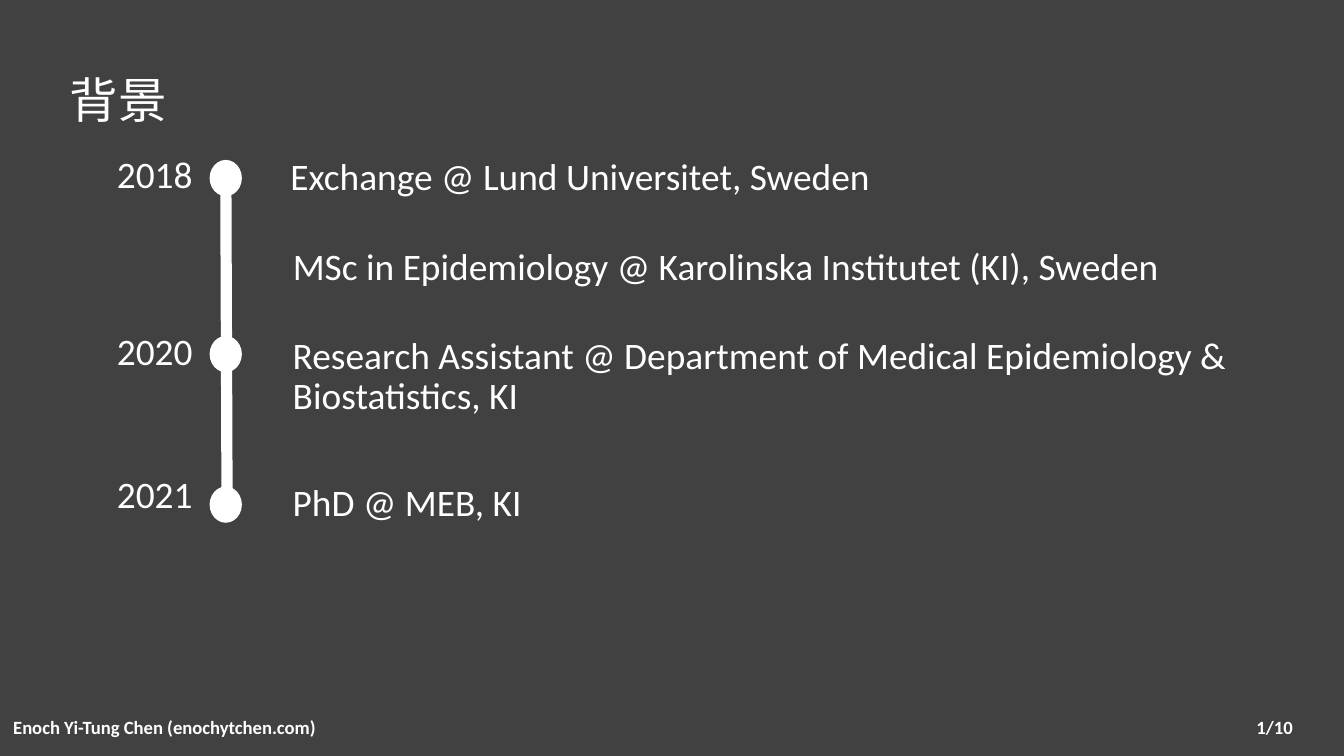
from lxml import etree
from pptx import Presentation
from pptx.dml.color import RGBColor
from pptx.enum import shapes, text
from pptx.oxml import ns
from pptx.util import Inches, Pt

WHITE = RGBColor(0xFF, 0xFF, 0xFF)
DARK = RGBColor(0x41, 0x41, 0x41)
FONT = "Calibri"

# Year, label top, dot top; all tops are relative to the timeline box
YEARS = [("2018", 0, 0.13), ("2020", 1.32, 1.44), ("2021", 2.38, 2.56)]
# Wording, left, top, width, height, left inset
EVENTS = [
    ("Exchange @ Lund Universitet, Sweden", 1.29, 0.02, 5.68, 0.5, 0.6),
    ("MSc in Epidemiology @ Karolinska Institutet (KI), Sweden",
     1.81, 0.69, 7.45, 1.11, 0.1),
    ("Research Assistant @ Department of Medical Epidemiology & Biostatistics, KI",
     1.81, 1.35, 7.5, 0.81, 0.1),
    ("PhD @ MEB, KI", 1.81, 2.44, 7.5, 0.5, 0.1),
]


def style(par, size, bold=False):
    par.alignment = text.PP_ALIGN.LEFT
    par.line_spacing = 0.9
    par.font.name = FONT
    par.font.size = Pt(size)
    par.font.bold = bold
    par.font.color.rgb = WHITE


def label(slide, words, left, top, width, height, size=20, inset=0.1, bold=False):
    box = slide.shapes.add_textbox(
        Inches(left), Inches(top), Inches(width), Inches(height))
    frame = box.text_frame
    frame.word_wrap = True
    frame.margin_left = Inches(inset)
    frame.margin_right = frame.margin_top = frame.margin_bottom = Inches(0.1)
    frame.text = words
    style(frame.paragraphs[0], size, bold)


def heading(slide, words, left, top, width, height):
    title = slide.shapes.title
    title.left, title.top = Inches(left), Inches(top)
    title.width, title.height = Inches(width), Inches(height)
    frame = title.text_frame
    frame.margin_left = frame.margin_right = Inches(0.07)
    frame.margin_top = frame.margin_bottom = Inches(0.04)
    frame.vertical_anchor = text.MSO_ANCHOR.MIDDLE
    frame.text = words
    style(frame.paragraphs[0], 26)


def timeline(slide, left, top):
    # Spine
    spine = slide.shapes.add_connector(
        shapes.MSO_CONNECTOR.STRAIGHT, Inches(left + 1.41), Inches(top + 0.2),
        Inches(left + 1.42), Inches(top + 2.78))
    spine.line.color.rgb = WHITE
    spine.line.width = Pt(6)
    etree.SubElement(spine._element.spPr, ns.qn("a:effectLst"))

    # Dots and years
    for year, drop, mark in YEARS:
        dot = slide.shapes.add_shape(
            shapes.MSO_SHAPE.FLOWCHART_CONNECTOR, Inches(left + 1.29),
            Inches(top + mark), Inches(0.24), Inches(0.27))
        dot.shadow.inherit = False
        dot.fill.solid()
        dot.fill.fore_color.rgb = WHITE
        dot.line.fill.background()
        label(slide, year, left, top + drop, 1.34, 0.5, inset=0.6)

    # Events
    for words, shift, drop, width, height, inset in EVENTS:
        label(slide, words, left + shift, top + drop, width, height, inset=inset)


def footer(slide, left, top, width, height):
    label(slide, "Enoch Yi-Tung Chen (enochytchen.com)",
          left, top, 6.79, height, size=10, bold=True)
    label(slide, "1/10", left + width - 0.75, top, 0.75, height,
          size=10, bold=True)


def main():
    deck = Presentation()
    # 16:9 page
    deck.slide_width = Inches(10)
    deck.slide_height = Inches(10) * 9 // 16
    slide = deck.slides.add_slide(deck.slide_layouts.get_by_name("Title Only"))
    slide.background.fill.solid()
    slide.background.fill.fore_color.rgb = DARK
    heading(slide, "背景", 0.45, 0.22, 8.62, 1.09)
    timeline(slide, 0.27, 1.06)
    footer(slide, 0, 5.27, 10, 0.35)
    deck.save("out.pptx")


if __name__ == "__main__":
    main()
